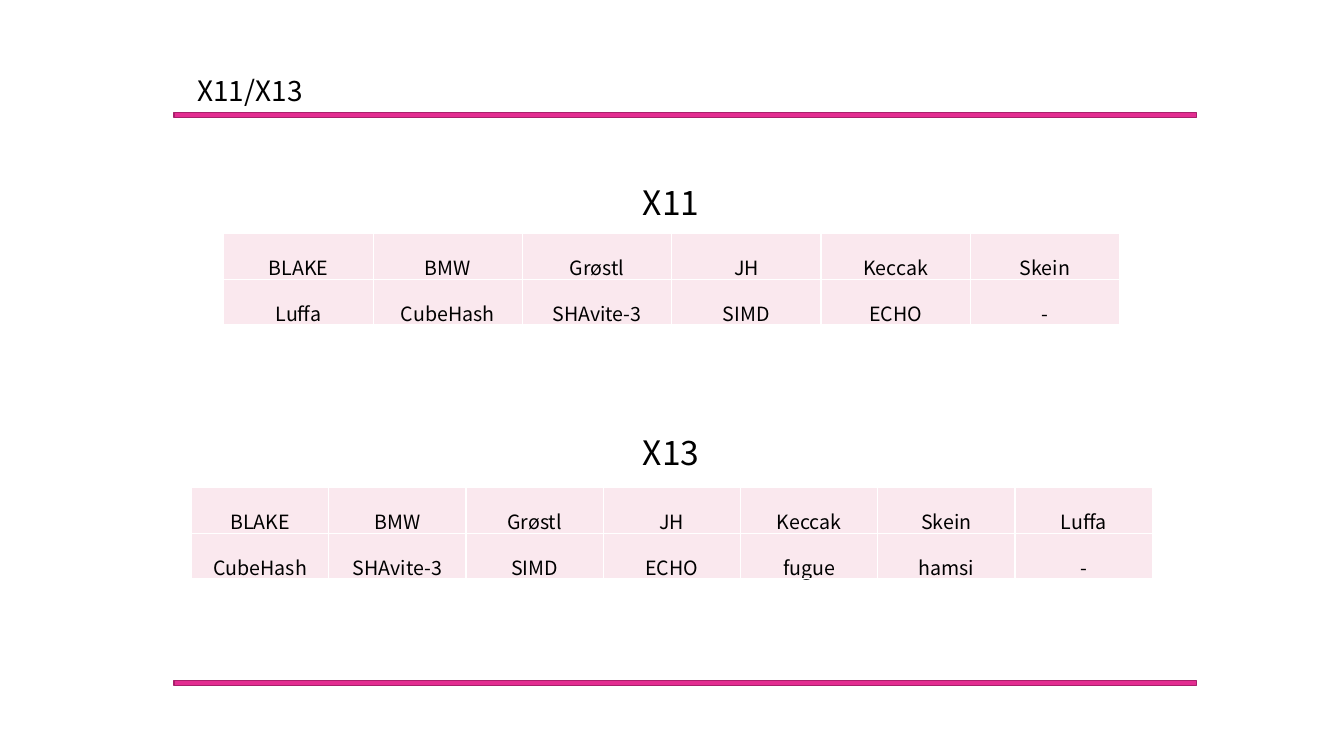
"""Build the X11/X13 hash algorithm slide."""
from pptx import Presentation
from pptx.dml.color import RGBColor
from pptx.enum.shapes import MSO_SHAPE
from pptx.enum.text import MSO_ANCHOR, MSO_AUTO_SIZE, PP_ALIGN
from pptx.util import Cm, Pt

RECT = MSO_SHAPE.RECTANGLE
TOP = MSO_ANCHOR.TOP
GROW = MSO_AUTO_SIZE.SHAPE_TO_FIT_TEXT
LEFT, CENTER = PP_ALIGN.LEFT, PP_ALIGN.CENTER
FONT = "Noto Sans CJK KR"
ROW_HEIGHT = 1.03

X11 = [
    ["BLAKE", "BMW", "Grøstl", "JH", "Keccak", "Skein"],
    ["Luffa", "CubeHash", "SHAvite-3", "SIMD", "ECHO", "-"],
]
X13 = [
    ["BLAKE", "BMW", "Grøstl", "JH", "Keccak", "Skein", "Luffa"],
    ["CubeHash", "SHAvite-3", "SIMD", "ECHO", "fugue", "hamsi", "-"],
]


def rgb(value):
    """Return the colour for a hex string."""
    return RGBColor.from_string(value)


def style_paragraph(p, size, align):
    """Set the font and alignment of a paragraph."""
    p.alignment = align
    p.font.name = FONT
    p.font.size = Pt(size)
    p.font.color.rgb = rgb("000000")


def fill_label(sp, text, size, left, top, width, height):
    """Place a one-line text shape that fits its text."""
    sp.left, sp.top, sp.width, sp.height = Cm(left), Cm(top), Cm(width), Cm(height)
    tf = sp.text_frame
    tf.text = text
    tf.word_wrap = False
    tf.auto_size = GROW
    tf.vertical_anchor = TOP
    style_paragraph(tf.paragraphs[0], size, LEFT)


def add_heading(s, text, top):
    """Add the heading above a table."""
    sp = s.shapes.add_textbox(0, 0, 0, 0)
    fill_label(sp, text, 24, 15.95, top, 1.98, 1.27)


def add_rule(s, top):
    """Add a thin pink bar across the slide."""
    sp = s.shapes.add_shape(RECT, Cm(4.39), Cm(top), Cm(25.76), Cm(0.13))
    sp.shadow.inherit = False
    sp.fill.solid()
    sp.fill.fore_color.rgb = rgb("E32D91")
    sp.line.color.rgb = rgb("A8216B")
    sp.line.width = Pt(1)


def add_grid(s, rows, left, top, width):
    """Add a table of algorithm names with equal columns."""
    frame = s.shapes.add_table(len(rows), len(rows[0]), Cm(left), Cm(top),
                               Cm(width), Cm(ROW_HEIGHT * len(rows)))
    table = frame.table
    table.first_row = table.horz_banding = False
    for r, names in enumerate(rows):
        for c, name in enumerate(names):
            cell = table.cell(r, c)
            cell.text = name
            cell.fill.solid()
            cell.fill.fore_color.rgb = rgb("FAE8EE")
            p = cell.text_frame.paragraphs[0]
            style_paragraph(p, 14, CENTER)
            p.line_spacing = 1.5


def main():
    """Build and save the slide."""
    prs = Presentation()
    prs.slide_width, prs.slide_height = Cm(33.87), Cm(19.05)
    s = prs.slides.add_slide(prs.slide_layouts[5])
    fill_label(s.shapes.title, "X11/X13", 20, 4.72, 1.73, 3.23, 1.12)
    for top in (2.84, 17.15):
        add_rule(s, top)
    add_grid(s, X13, 4.83, 12.29, 24.21)
    add_grid(s, X11, 5.64, 5.89, 22.58)
    add_heading(s, "X11", 4.47)
    add_heading(s, "X13", 10.77)
    prs.save("out.pptx")


main()
